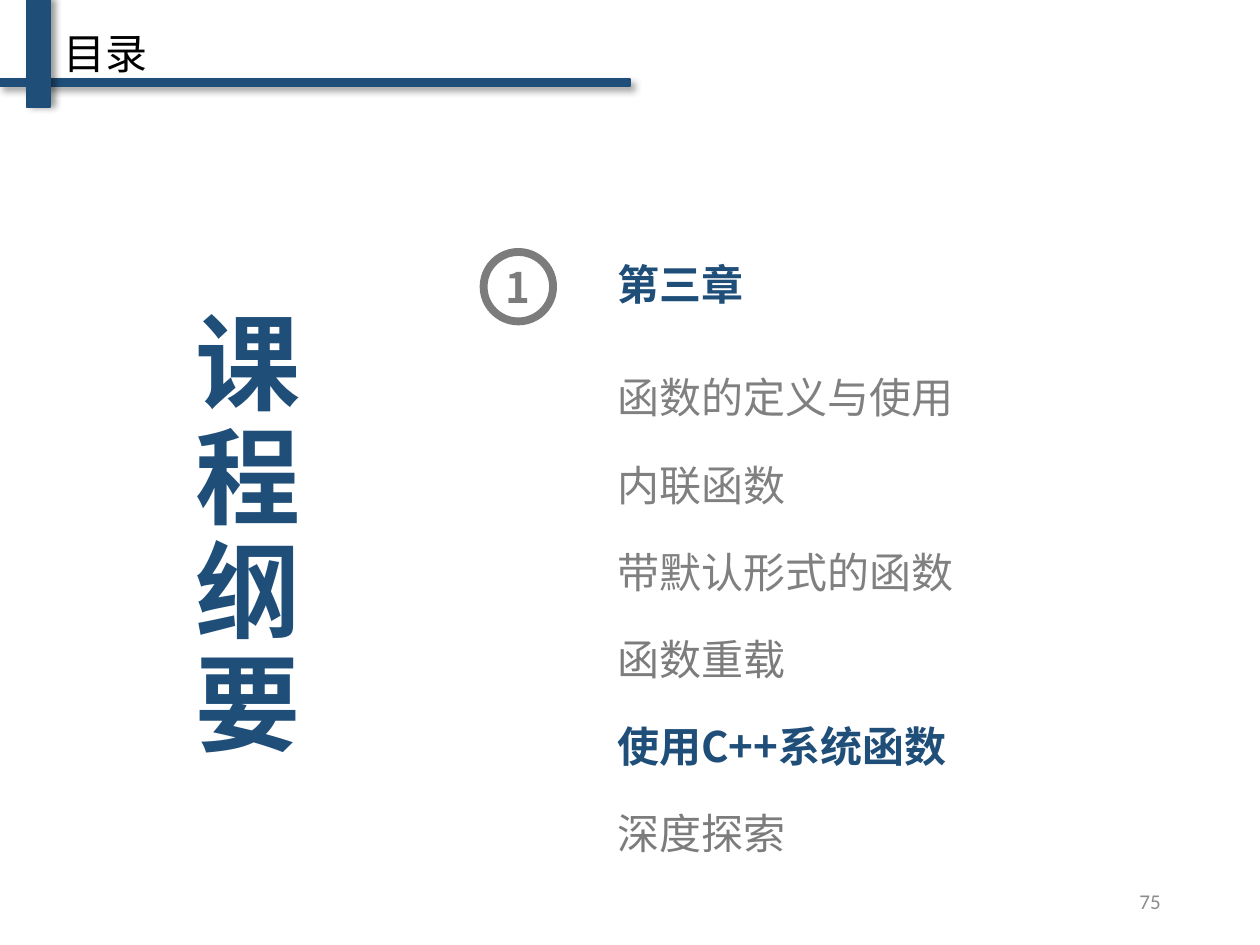
from dataclasses import dataclass

from lxml.etree import SubElement
from pptx import Presentation
from pptx.dml.color import RGBColor
from pptx.enum.shapes import MSO_SHAPE
from pptx.enum.text import MSO_ANCHOR, MSO_AUTO_SIZE, PP_ALIGN
from pptx.oxml import parse_xml
from pptx.oxml.ns import nsdecls, qn
from pptx.util import Cm, Pt


@dataclass(frozen=True)
class Theme:
    """Colours, fonts and type sizes of the slide."""
    navy: str = "1F4E79"
    gray: str = "808080"
    dark: str = "7C7C7C"
    pale: str = "8C8C8C"
    black: str = "000000"
    main: str = "Noto Sans CJK SC"
    small: str = "Calibri"
    huge: int = 60
    text: int = 24
    note: int = 12


THEME = Theme()


def assign(item, values):
    """Set each named value on an item."""
    for name, value in values.items():
        setattr(item, name, value)


def place(shape, box):
    """Move and size a shape in centimetres."""
    assign(shape, dict(zip(("left", "top", "width", "height"), map(Cm, box))))


def style(part, text, color, size=THEME.text, bold=False, face=THEME.main, **form):
    """Write one formatted run into a paragraph."""
    run = part.add_run()
    run.text = text
    assign(run.font, {"size": Pt(size), "bold": bold, "name": face})
    run.font.color.rgb = RGBColor.from_string(color)
    SubElement(run.font._element, qn("a:ea"), typeface=face)
    assign(part, {"alignment": PP_ALIGN.LEFT, **form})


def setup(shape, **form):
    """Prepare a text frame and return it."""
    frame = shape.text_frame
    assign(frame, {"word_wrap": True, "auto_size": MSO_AUTO_SIZE.NONE,
                   "vertical_anchor": MSO_ANCHOR.MIDDLE, **form})
    return frame


def label(slide, box, text, color, inset=0.13, **form):
    """Add a text box with one paragraph."""
    shape = slide.shapes.add_textbox(*map(Cm, box))
    frame = setup(shape, margin_top=Cm(inset))
    style(frame.paragraphs[0], text, color, **form)


def bar(slide, box, line, angle):
    """Add a navy bar with a soft shadow."""
    shape = slide.shapes.add_shape(MSO_SHAPE.RECTANGLE, *map(Cm, box))
    navy = RGBColor.from_string(THEME.navy)
    shape.fill.solid()
    shape.fill.fore_color.rgb = navy
    shape.line.color.rgb = navy
    shape.line.width = Pt(line)
    shape._element.spPr.append(parse_xml(
        f'<a:effectLst {nsdecls("a")}><a:outerShdw blurRad="{Pt(4)}" '
        f'dist="{Pt(3)}" dir="{angle * 60000}" algn="tl" rotWithShape="0">'
        f'<a:srgbClr val="{THEME.black}"><a:alpha val="40000"/></a:srgbClr>'
        '</a:outerShdw></a:effectLst>'))


def badge(slide, box, text):
    """Add a ringed number."""
    shape = slide.shapes.add_shape(MSO_SHAPE.OVAL, *map(Cm, box))
    shape.shadow.inherit = False
    shape.fill.background()
    shape.line.color.rgb = RGBColor.from_string(THEME.dark)
    shape.line.width = Pt(4.5)
    sides = ("left", "top", "right", "bottom")
    frame = setup(shape, **{f"margin_{side}": 0 for side in sides})
    style(frame.paragraphs[0], text, THEME.dark, bold=True,
          alignment=PP_ALIGN.CENTER)


def topics(shape, box, items):
    """Fill the body with evenly spaced topics."""
    place(shape, box)
    frame = setup(shape)
    for rank, (text, color, bold) in enumerate(items):
        part = frame.add_paragraph() if rank else frame.paragraphs[0]
        style(part, text, color, bold=bold, line_spacing=Pt(32),
              space_before=Pt(17.8 if rank else 0))
        props = part._p.get_or_add_pPr()
        props.set("marL", "0")
        props.set("indent", "0")
        SubElement(props, qn("a:buNone"))


def main():
    """Build and save the contents slide."""
    deck = Presentation()
    assign(deck, {"slide_width": Cm(25.4), "slide_height": Cm(19.05)})
    slide = deck.slides.add_slide(deck.slide_layouts[1])
    title, body = slide.placeholders
    bar(slide, (0, 1.6, 12.7, 0.13), 1, 45)
    bar(slide, (0.53, 0, 0.48, 2.16), 0.75, 0)
    place(title, (1.02, 0.41, 7.34, 1.3))
    style(setup(title).paragraphs[0], "目录", THEME.black)
    label(slide, (2.74, 4.65, 4.5, 12.09), "课程纲要", THEME.navy, inset=0.4,
          size=THEME.huge, bold=True, alignment=PP_ALIGN.CENTER,
          line_spacing=Pt(65))
    badge(slide, (9.75, 5.08, 1.4, 1.4), "1")
    label(slide, (12.19, 5, 11.13, 1.57), "第三章", THEME.navy, bold=True,
          line_spacing=0.9)
    topics(body, (12.19, 7.16, 11.13, 10.36), (
        ("函数的定义与使用", THEME.gray, False),
        ("内联函数", THEME.gray, False),
        ("带默认形式的函数", THEME.gray, False),
        ("函数重载", THEME.dark, False),
        ("使用C++系统函数", THEME.navy, True),
        ("深度探索", THEME.dark, False)))
    label(slide, (17.93, 17.65, 5.72, 1.02), "75", THEME.pale,
          size=THEME.note, face=THEME.small, alignment=PP_ALIGN.RIGHT)
    deck.save("out.pptx")


if __name__ == "__main__":
    main()
